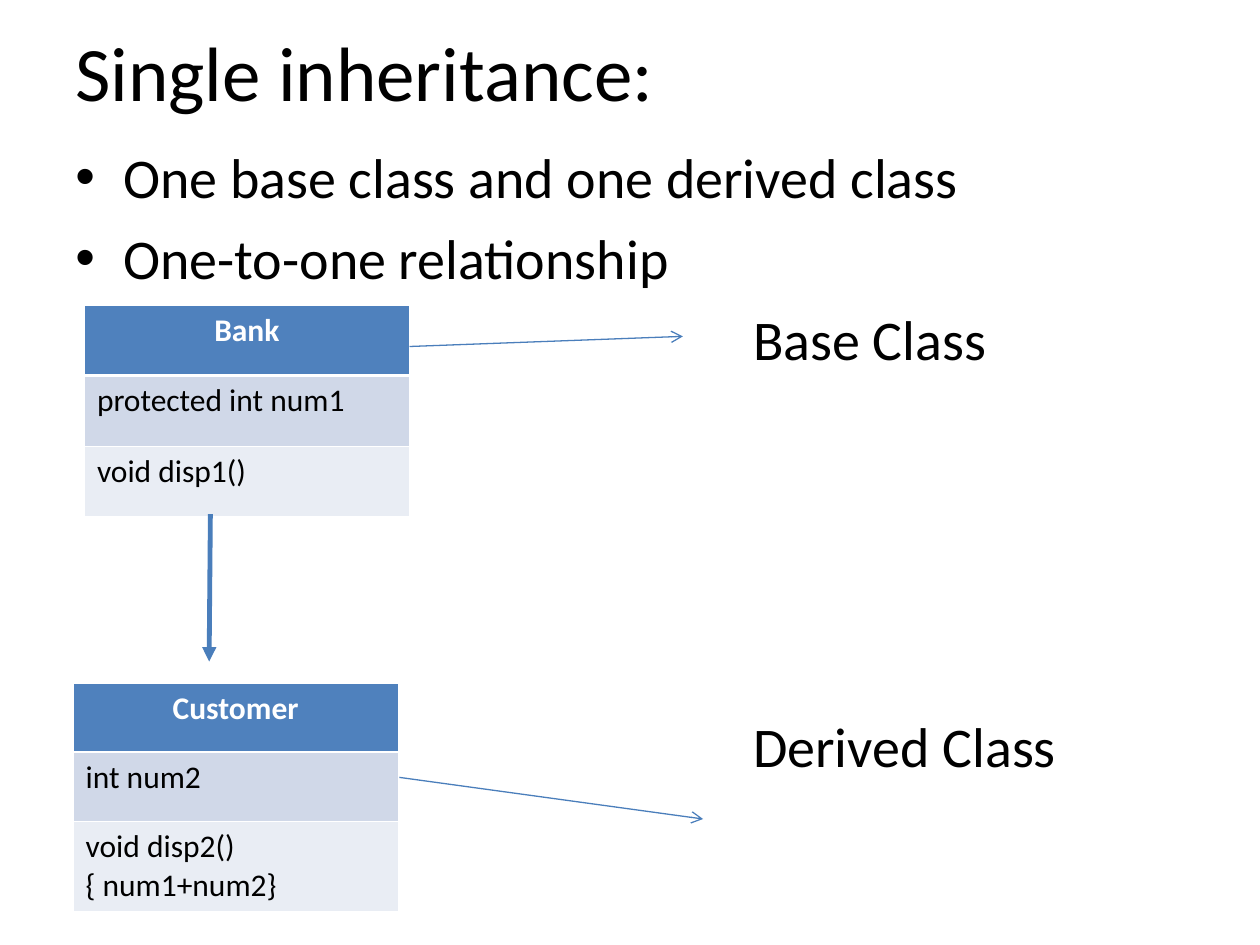
from lxml.etree import SubElement
from pptx import Presentation
from pptx.dml.color import RGBColor as RGB
from pptx.enum.shapes import MSO_CONNECTOR as CONNECTOR
from pptx.enum.text import MSO_ANCHOR as ANCHOR, PP_ALIGN as ALIGN
from pptx.oxml.ns import qn
from pptx.util import Inches, Pt

COLORS = {
    "text": "000000",
    "white": "FFFFFF",
    "header": "4F81BD",
    "field": "D0D8E8",
    "method": "E9EDF4",
    "arrow": "4A7EBB",
}


def add_run(p, text, size, color="text", bold=False):
    r = p.add_run()
    r.text = text
    for name, value in {"name": "Calibri", "size": Pt(size), "bold": bold}.items():
        setattr(r.font, name, value)
    r.font.color.rgb = RGB.from_string(COLORS[color])


def add_borders(cell, widths):
    """Give a cell white borders; widths are points for left, right, top, bottom."""
    tcPr = cell._tc.get_or_add_tcPr()
    for side, width in zip("LRTB", widths):
        ln = SubElement(tcPr, qn(f"a:ln{side}"), w=str(Pt(width)))
        fill = SubElement(ln, qn("a:solidFill"))
        SubElement(fill, qn("a:srgbClr"), val=COLORS["white"])


prs = Presentation()
prs.slide_width, prs.slide_height = Inches(10), Inches(7.5)
s = prs.slides.add_slide(prs.slide_layouts[6])

# Title, raised by one line through the bottom margin
tf = s.shapes.add_textbox(Inches(0.5), Inches(0.3), Inches(9), Inches(1.25)).text_frame
tf.word_wrap = True
tf.vertical_anchor = ANCHOR.MIDDLE
tf.margin_bottom = Inches(0.78)
add_run(tf.paragraphs[0], "Single inheritance:", 44)

# Bullets and class labels: text, left margin, first-line indent, space before
body = [
    ("One base class and one derived class", 0.38, -0.38, 8),
    ("One-to-one relationship", 0.38, -0.38, 8),
    ("Base Class", 5.38, 0, 8),
    ("Derived Class", 5.38, 0, 194),
]
tf = s.shapes.add_textbox(Inches(0.5), Inches(1.08), Inches(9), Inches(6.42)).text_frame
tf.word_wrap = True
for i, (text, margin, indent, before) in enumerate(body):
    p = tf.add_paragraph() if i else tf.paragraphs[0]
    p.space_before = Pt(before)
    pPr = p._p.get_or_add_pPr()
    pPr.set("marL", str(Inches(margin)))
    pPr.set("indent", str(Inches(indent)))
    if indent:
        SubElement(pPr, qn("a:buFont"), typeface="Arial")
        SubElement(pPr, qn("a:buChar"), char="•")
    add_run(p, text, 32)

# Class tables: left, top, row heights, texts
classes = [
    (0.67, 2.42, (0.56, 0.56, 0.56), ("Bank", "protected int num1", "void disp1()")),
    (0.58, 5.42, (0.55, 0.55, 0.71), ("Customer", "int num2", "void disp2(){ num1+num2}")),
]
thin, thick = 0.45, 1.47
row_styles = [
    ("header", (thin, thin, thin, thick)),
    ("field", (thin, thin, thick, thin)),
    ("method", (thin, thin, thin, thin)),
]
for left, top, heights, texts in classes:
    table = s.shapes.add_table(
        3, 1, Inches(left), Inches(top), Inches(2.58), Inches(sum(heights))
    ).table
    for i, (fill, borders) in enumerate(row_styles):
        table.rows[i].height = Inches(heights[i])
        cell = table.cell(i, 0)
        add_borders(cell, borders)
        cell.fill.solid()
        cell.fill.fore_color.rgb = RGB.from_string(COLORS[fill])
        p = cell.text_frame.paragraphs[0]
        is_header = fill == "header"
        p.alignment = ALIGN.CENTER if is_header else ALIGN.LEFT
        add_run(p, texts[i], 18, "white" if is_header else "text", is_header)

# Arrows: from, to, width, head
arrows = [
    ((3.25, 2.75), (5.42, 2.67), 0.75, "arrow"),
    ((3.17, 6.17), (5.58, 6.5), 0.75, "arrow"),
    ((1.67, 4.08), (1.66, 5.25), 2.75, "triangle"),
]
for start, end, width, head in arrows:
    arrow = s.shapes.add_connector(CONNECTOR.STRAIGHT, *map(Inches, start + end))
    arrow.line.color.rgb = RGB.from_string(COLORS["arrow"])
    arrow.line.width = Pt(width)
    spPr = arrow._element.spPr
    SubElement(spPr.find(qn("a:ln")), qn("a:tailEnd"), type=head)
    SubElement(spPr, qn("a:effectLst"))

prs.save("out.pptx")
